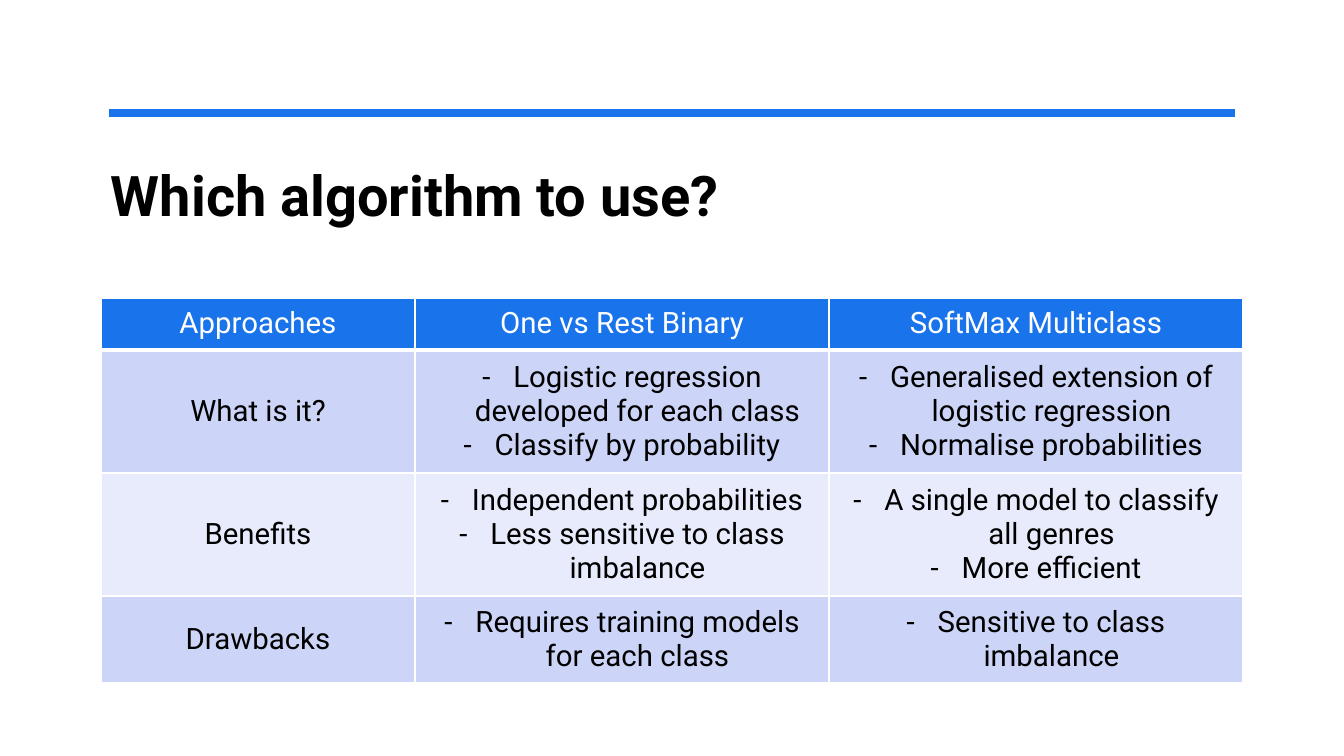
from dataclasses import dataclass

from lxml.etree import SubElement
from pptx import Presentation
from pptx.dml.color import RGBColor
from pptx.enum.shapes import MSO_CONNECTOR
from pptx.enum.text import MSO_ANCHOR, PP_ALIGN
from pptx.oxml import parse_xml
from pptx.oxml.ns import nsdecls, qn
from pptx.util import Emu, Pt

EMU_PER_INCH = 914400
PX_PER_INCH = 100.8
FONT = "Roboto"
COLORS = {
    "blue": "1973EB",
    "band_dark": "CCD5F7",
    "band_light": "E8EBFB",
    "black": "000000",
    "white": "FFFFFF",
}


@dataclass(frozen=True)
class TableRow:
    height: int
    fill: str
    text_color: str
    bottom_border: int  # points
    label: str
    details: tuple[list[str], list[str]]
    bulleted: bool = True


COLUMN_WIDTHS = [314, 414, 414]
ROWS = [
    TableRow(52, "blue", "white", 3, "Approaches",
             (["One vs Rest Binary"], ["SoftMax Multiclass"]), bulleted=False),
    TableRow(123, "band_dark", "black", 1, "What is it?",
             (["Logistic regression developed for each class",
               "Classify by probability"],
              ["Generalised extension of logistic regression",
               "Normalise probabilities"])),
    TableRow(123, "band_light", "black", 1, "Benefits",
             (["Independent probabilities",
               "Less sensitive to class imbalance"],
              ["A single model to classify all genres",
               "More efficient"])),
    TableRow(87, "band_dark", "black", 1, "Drawbacks",
             (["Requires training models for each class"],
              ["Sensitive to class imbalance"])),
]


def px(length: int) -> Emu:
    return Emu(round(length * EMU_PER_INCH / PX_PER_INCH))


def rgb(name: str) -> RGBColor:
    return RGBColor.from_string(COLORS[name])


def style_font(paragraph, size: int, color: str, bold: bool = False) -> None:
    font = paragraph.font
    font.name, font.size, font.bold = FONT, Pt(size), bold
    font.color.rgb = rgb(color)


def set_margins(target, horizontal: int, vertical: int) -> None:
    target.margin_left = target.margin_right = px(horizontal)
    target.margin_top = target.margin_bottom = px(vertical)


def add_dash(paragraph, indent: int) -> None:
    properties = paragraph._p.get_or_add_pPr()
    properties.set("marL", str(px(indent)))
    properties.set("indent", str(-px(indent)))
    SubElement(properties, qn("a:buFont"), typeface=FONT)
    SubElement(properties, qn("a:buChar"), char="-")


def set_borders(cell, bottom: int) -> None:
    properties = cell._tc.get_or_add_tcPr()
    widths = {"lnL": 1, "lnR": 1, "lnT": 1, "lnB": bottom}
    for position, (side, width) in enumerate(widths.items()):
        properties.insert(position, parse_xml(
            f'<a:{side} {nsdecls("a")} w="{Pt(width)}"><a:solidFill>'
            f'<a:srgbClr val="{COLORS["white"]}"/></a:solidFill></a:{side}>'))


def fill_cell(cell, row: TableRow, lines: list[str], bulleted: bool) -> None:
    cell.fill.solid()
    cell.fill.fore_color.rgb = rgb(row.fill)
    set_borders(cell, row.bottom_border)
    set_margins(cell, 12, 6)
    cell.vertical_anchor = MSO_ANCHOR.MIDDLE
    cell.text = "\n".join(lines)
    for paragraph in cell.text_frame.paragraphs:
        paragraph.alignment = PP_ALIGN.CENTER
        if bulleted:
            add_dash(paragraph, 31)
        style_font(paragraph, 21, row.text_color)


def add_rule(slide) -> None:
    rule = slide.shapes.add_connector(
        MSO_CONNECTOR.STRAIGHT, px(109), px(113), px(1235), px(113))
    rule.line.color.rgb = rgb("blue")
    rule.line.width = Pt(6)
    SubElement(rule._element.spPr, qn("a:effectLst"))


def add_title(slide) -> None:
    title = slide.shapes.add_textbox(px(101), px(151), px(1142), px(126))
    frame = title.text_frame
    frame.word_wrap = True
    set_margins(frame, 10, 10)
    frame.text = "Which algorithm to use?"
    style_font(frame.paragraphs[0], 40, "black", bold=True)


def add_comparison(slide) -> None:
    table = slide.shapes.add_table(
        len(ROWS), len(COLUMN_WIDTHS), px(101), px(298),
        px(sum(COLUMN_WIDTHS)), px(sum(row.height for row in ROWS))).table
    table.horz_banding = False
    table.first_row = False
    for column, width in zip(table.columns, COLUMN_WIDTHS):
        column.width = px(width)
    for index, row in enumerate(ROWS):
        table.rows[index].height = px(row.height)
        fill_cell(table.cell(index, 0), row, [row.label], False)
        for column, lines in enumerate(row.details, start=1):
            fill_cell(table.cell(index, column), row, lines, row.bulleted)


def main() -> None:
    presentation = Presentation()
    presentation.slide_width, presentation.slide_height = px(1344), px(756)
    slide = presentation.slides.add_slide(presentation.slide_layouts[6])
    add_title(slide)
    add_rule(slide)
    add_comparison(slide)
    presentation.save("out.pptx")


if __name__ == "__main__":
    main()
